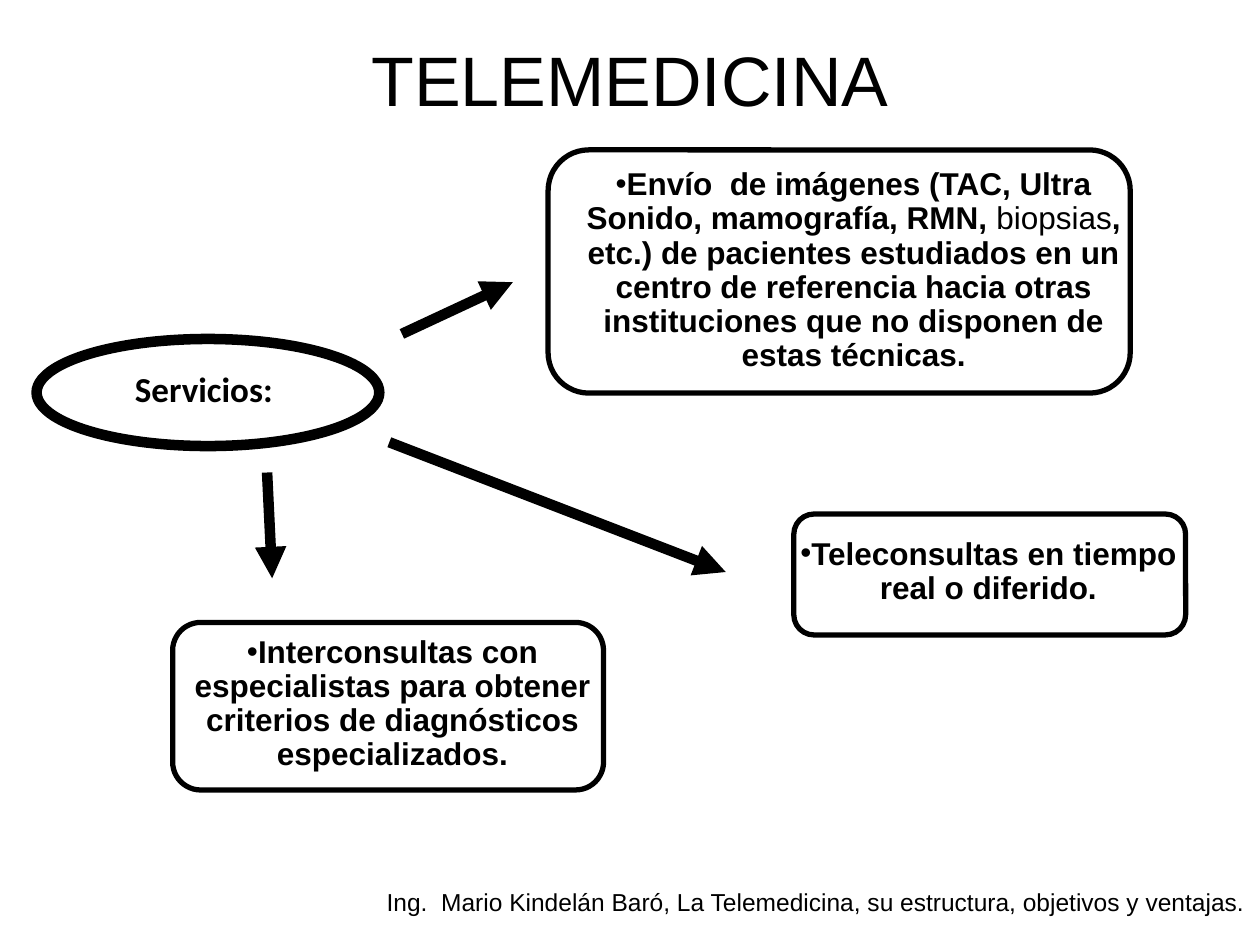
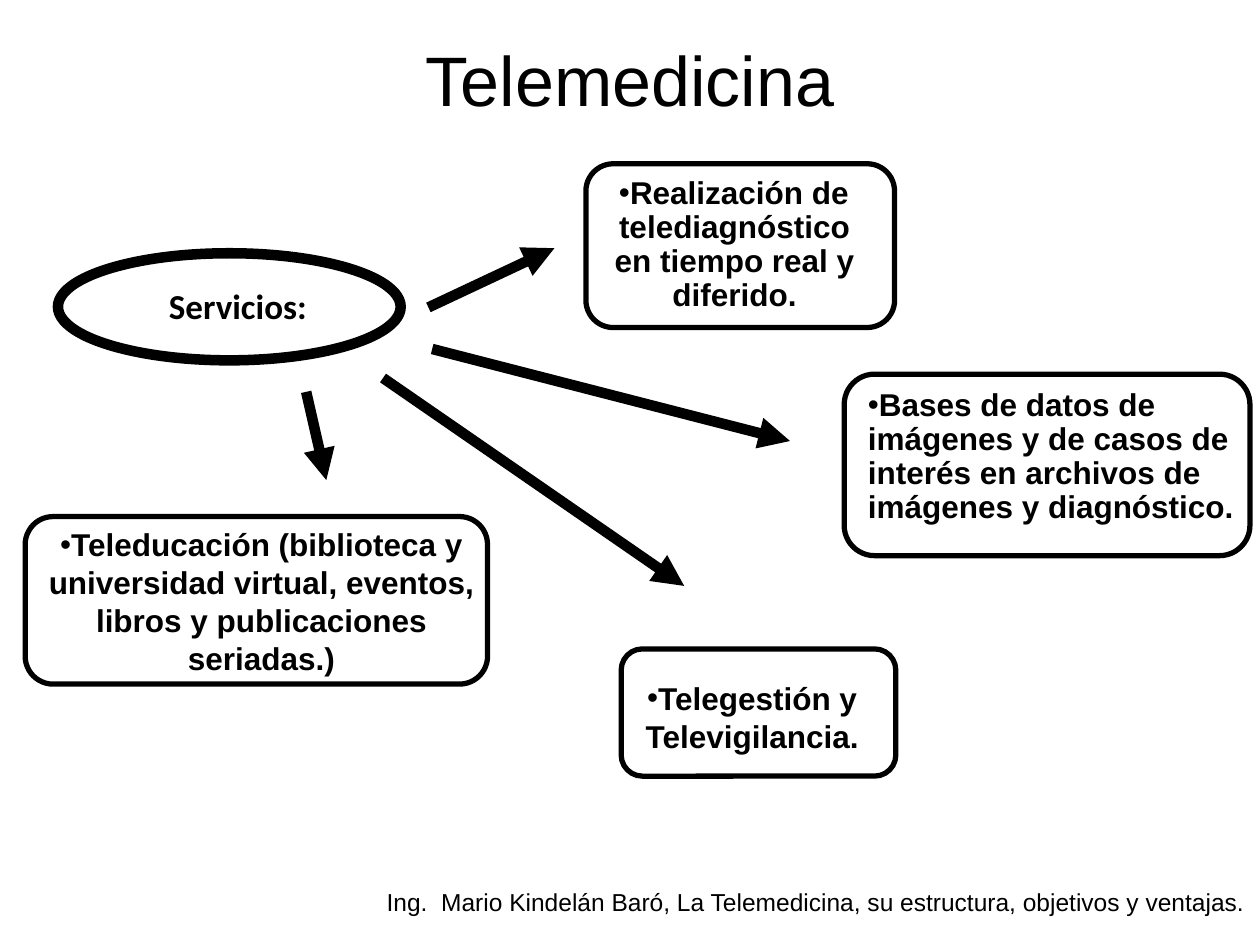
from pptx import Presentation
from pptx.dml.color import RGBColor
from pptx.enum.shapes import MSO_CONNECTOR, MSO_SHAPE
from pptx.enum.text import MSO_ANCHOR, MSO_AUTO_SIZE, PP_ALIGN
from pptx.oxml.ns import qn
from pptx.util import Inches, Pt
from lxml.etree import SubElement

# Shared look: a grid of 100 columns by 75 rows
CELL = Inches(0.1)
COLUMNS, ROWS = 100, 75
INK = "000000"
BODY_FONT, HUB_FONT = "Arial", "Calibri"
THIN, THICK = 3, 6
TITLE_AREA = (7.5, 0, 85, 12.5)
FOOTER_AREA = (29.7, 69.9, 71.2, 3.3)
HUB_SIZE = (27.2, 8.5)
HUB_LABEL_SIZE = (19.6, 3.3)
FOOTER = "Ing.  Mario Kindelán Baró, La Telemedicina, su estructura, objetivos y ventajas."


def cells(*counts):
    return [round(count * CELL) for count in counts]


def color(hex_code):
    return RGBColor.from_string(hex_code)


def add_span(para, text, size, font=BODY_FONT, bold=False):
    span = para.add_run()
    span.text = text
    span.font.name = font
    span.font.size = Pt(size)
    span.font.bold = bold
    span.font.color.rgb = color(INK)


def add_text(page, area, align=PP_ALIGN.LEFT):
    """Add a wrapping text box and return its first paragraph."""
    frame = page.shapes.add_textbox(*cells(*area)).text_frame
    frame.word_wrap = True
    para = frame.paragraphs[0]
    para.alignment = align
    return para


def set_indent(para, left, first, bullet=None):
    props = para._p.get_or_add_pPr()
    props.set("marL", str(Inches(left)))
    props.set("indent", str(Inches(first)))
    if bullet:
        SubElement(props, qn("a:buFont")).set("typeface", BODY_FONT)
        SubElement(props, qn("a:buChar")).set("char", bullet)


def add_outline(page, kind, area, width):
    box = page.shapes.add_shape(kind, *cells(*area))
    box.shadow.inherit = False
    box.fill.background()
    box.line.color.rgb = color(INK)
    box.line.width = Pt(width)
    return box


def add_service(page, frame_area, text_area, spans, align=PP_ALIGN.CENTER,
                indent=(0, 0), tight=True):
    """Add a rounded frame with a bulleted service; spans are (text, bold)."""
    frame = add_outline(page, MSO_SHAPE.ROUNDED_RECTANGLE, frame_area, THIN)
    frame.adjustments[0] = 0.167
    para = add_text(page, text_area, align)
    if tight:
        para.line_spacing = 0.9
        para.space_before = Pt(3.6)
    set_indent(para, *indent, bullet="•")
    for text, bold in spans:
        add_span(para, text, 18, bold=bold)


def add_hub(page, hub_corner, label_corner):
    add_outline(page, MSO_SHAPE.OVAL, hub_corner + HUB_SIZE, THICK)
    para = add_text(page, label_corner + HUB_LABEL_SIZE, PP_ALIGN.CENTER)
    para.line_spacing = 0.7
    para.space_before = Pt(4)
    set_indent(para, 0.42, -0.42)
    add_span(para, "Servicios: ", 20, HUB_FONT, bold=True)


def add_arrow(page, start, end):
    arrow = page.shapes.add_connector(MSO_CONNECTOR.STRAIGHT, *cells(*start, *end))
    arrow.line.color.rgb = color(INK)
    arrow.line.width = Pt(THICK)
    SubElement(arrow.line._get_or_add_ln(), qn("a:tailEnd")).set("type", "triangle")
    SubElement(arrow._element.spPr, qn("a:effectLst"))


def add_page(deck, heading):
    page = deck.slides.add_slide(deck.slide_layouts[5])
    page.background.fill.solid()
    page.background.fill.fore_color.rgb = color("FFFFFF")
    title = page.shapes.title
    title.left, title.top, title.width, title.height = cells(*TITLE_AREA)
    frame = title.text_frame
    frame.auto_size = MSO_AUTO_SIZE.NONE
    frame.vertical_anchor = MSO_ANCHOR.MIDDLE
    para = frame.paragraphs[0]
    para.alignment = PP_ALIGN.CENTER
    add_span(para, heading, 40)
    add_span(add_text(page, FOOTER_AREA), FOOTER, 14)
    return page


def build_consultations(deck):
    page = add_page(deck, "TELEMEDICINA")
    add_hub(page, (2.9, 26.9), (6.7, 29.6))
    add_service(page, (43.5, 11.9, 46.2, 19.3), (45, 12.9, 45.5, 20.3), [
        ("Envío  de imágenes (TAC, Ultra Sonido, mamografía, RMN, ", True),
        ("biopsias", False),
        (", etc.) de pacientes estudiados en un centro de referencia hacia "
         "otras instituciones que no disponen de estas técnicas.", True)])
    add_service(page, (63, 40.8, 31.1, 9.6), (62.3, 42.2, 32.3, 9.4),
                [("Teleconsultas en tiempo real o diferido.", True)])
    add_service(page, (13.7, 49.4, 34.2, 13.3), (14.4, 50, 33.5, 14.8), [
        ("Interconsultas con especialistas para obtener criterios de "
         "diagnósticos especializados.", True)])
    for start, end in [((31.9, 26.5), (40.7, 22.4)),
                       ((21.2, 37.5), (21.6, 45.9)),
                       ((30.9, 35.1), (57.6, 45.4))]:
        add_arrow(page, start, end)


def build_remote_services(deck):
    page = add_page(deck, "Telemedicina")
    add_hub(page, (4.6, 20.1), (9.4, 23))
    add_service(page, (46.5, 13, 24.5, 13), (42.1, 13.6, 27.4, 12.3),
                [("Realización de telediagnóstico en tiempo real y diferido.", True)],
                indent=(0.5, -0.01))
    add_service(page, (67, 29.7, 32.2, 14.4), (67.9, 30.4, 34, 11.8), [
        ("Bases de datos de imágenes y de casos de interés en archivos de "
         "imágenes y diagnóstico.", True)], align=PP_ALIGN.LEFT)
    add_service(page, (2, 41, 36.7, 13.3), (2.8, 41.2, 35.9, 13), [
        ("Teleducación (biblioteca y universidad virtual, eventos, libros y "
         "publicaciones seriadas.)", True)], tight=False)
    add_service(page, (49.3, 51.5, 21.8, 10.1), (48.6, 53.4, 22.2, 10.1),
                [("Telegestión y Televigilancia.", True)], tight=False)
    for start, end in [((34, 24.4), (44, 19.7)),
                       ((34.3, 27.7), (62.7, 35)),
                       ((30.4, 30), (54.3, 46.5)),
                       ((24.3, 31.1), (25.9, 38.1))]:
        add_arrow(page, start, end)


def main():
    deck = Presentation()
    deck.slide_width, deck.slide_height = cells(COLUMNS, ROWS)
    build_consultations(deck)
    build_remote_services(deck)
    deck.save("out.pptx")


if __name__ == "__main__":
    main()
